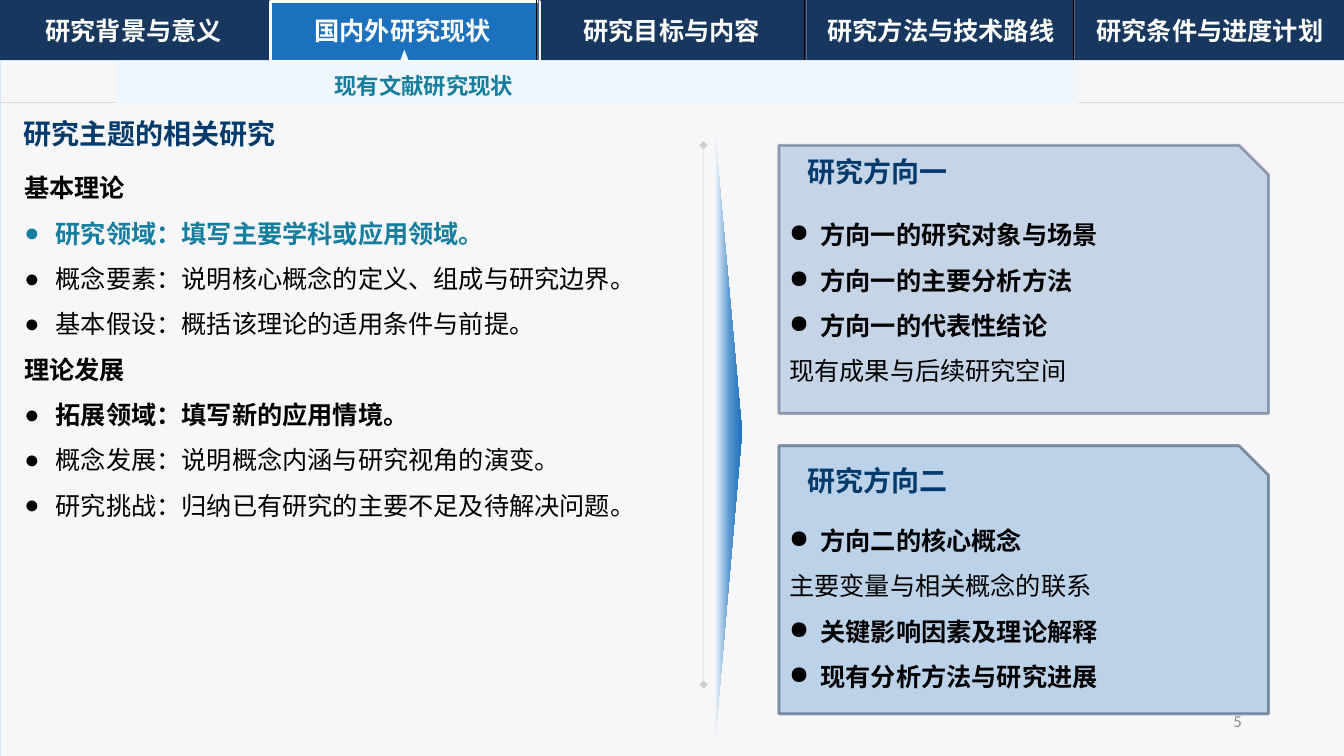
from copy import deepcopy
from lxml.etree import SubElement
from pptx import Presentation
from pptx.dml.color import RGBColor
from pptx.enum.shapes import MSO_CONNECTOR, MSO_SHAPE
from pptx.enum.text import MSO_ANCHOR, MSO_AUTO_SIZE, PP_ALIGN
from pptx.oxml.ns import qn
from pptx.util import Cm, Pt

NAVY = RGBColor(0x17, 0x37, 0x5E)
BLUE = RGBColor(0x1C, 0x71, 0xBE)
STEEL = RGBColor(0x4F, 0x81, 0xBD)
EDGE = RGBColor(0x23, 0x39, 0x53)
TEAL = RGBColor(0x15, 0x7E, 0x9F)
HEAD = RGBColor(0x01, 0x3B, 0x6D)
PAPER = RGBColor(0xF7, 0xF7, 0xF9)
FRAME = RGBColor(0xD4, 0xE7, 0xF9)
PALE = RGBColor(0xEF, 0xF6, 0xFC)
SLATE = RGBColor(0x59, 0x61, 0x81)
RULE = RGBColor(0xD9, 0xD9, 0xD9)
GREY = RGBColor(0x80, 0x80, 0x80)
PAGE = RGBColor(0x8C, 0x8C, 0x8C)
FADE = [RGBColor(0xF6, 0xF9, 0xFC), RGBColor(0x59, 0x97, 0xCF), BLUE]
BLACK = RGBColor(0, 0, 0)
WHITE = RGBColor(255, 255, 255)
CJK = "Noto Sans CJK SC"
WIDE, HIGH, BAR, STEP = 33.87, 19.05, 1.52, 6.76


def write(box, rows, size, name=CJK, anchor=MSO_ANCHOR.TOP, wrap=True, **form):
    """Fill a box with rows of (text, bulleted, bold, colour)."""
    frame = box.text_frame
    frame.word_wrap = wrap
    frame.auto_size = MSO_AUTO_SIZE.NONE
    frame.vertical_anchor = anchor
    for i, (text, mark, bold, color) in enumerate(rows):
        para = frame.add_paragraph() if i else frame.paragraphs[0]
        run = para.add_run()
        run.text = text
        look = {"alignment": PP_ALIGN.LEFT, "space_before": Pt(0)} | form
        for key, value in look.items():
            setattr(para, key, value)
        props = para._p.get_or_add_pPr()
        indent = Cm(0.79) if mark else 0
        props.set("marL", str(indent))
        props.set("indent", str(-indent))
        if mark:
            SubElement(props, qn("a:buChar"), char="●")
        else:
            SubElement(props, qn("a:buNone"))
        for key, value in {"name": name, "size": Pt(size), "bold": bold}.items():
            setattr(run.font, key, value)
        run.font.color.rgb = color
        SubElement(run._r.get_or_add_rPr(), qn("a:ea"), typeface=name)


def rule(x1, y1, x2, y2, color, width):
    line = shapes.add_connector(MSO_CONNECTOR.STRAIGHT, Cm(x1), Cm(y1), Cm(x2), Cm(y2))
    line.line.color.rgb = color
    line.line.width = Pt(width)
    SubElement(line._element.spPr, qn("a:effectLst"))
    return line


deck = Presentation()
deck.slide_width, deck.slide_height = Cm(WIDE), Cm(HIGH)
slide = deck.slides.add_slide(deck.slide_layouts[1])
shapes = slide.shapes

# Bar, page area and active tab
for left, top, width, height, fill, edge, weight in [
    (0, 0, WIDE, BAR, NAVY, None, 0),
    (0, BAR, WIDE, HIGH - BAR, PAPER, FRAME, 0.5),
    (6.81, 0.03, 6.78, BAR, BLUE, WHITE, 2),
]:
    area = shapes.add_shape(MSO_SHAPE.RECTANGLE, Cm(left), Cm(top), Cm(width), Cm(height))
    area.shadow.inherit = False
    area.fill.solid()
    area.fill.fore_color.rgb = fill
    if edge:
        area.line.color.rgb = edge
        area.line.width = Pt(weight)
    else:
        area.line.fill.background()

for i in (2, 3, 4):
    rule(i * STEP, 0, i * STEP, BAR, BLACK, 0.5)
    rule(i * STEP + 0.04, 0, i * STEP + 0.04, BAR, SLATE, 0.75)
rule(0, 2.59, WIDE, 2.59, RULE, 0.5)

# Sub-menu strip with its pointer
pen = shapes.build_freeform(Cm(10.19), Cm(1.25))
pen.add_line_segments([(Cm(x), Cm(y)) for x, y in [
    (10.31, 1.55), (27.18, 1.55), (27.18, 2.62), (2.92, 2.62), (2.92, 1.55), (10.08, 1.55),
]])
strip = pen.convert_to_shape()
strip.shadow.inherit = False
strip.fill.solid()
strip.fill.fore_color.rgb = PALE
strip.line.fill.background()

tabs = ["研究背景与意义", "国内外研究现状", "研究目标与内容", "研究方法与技术路线", "研究条件与进度计划"]
for i, tab in enumerate(tabs):
    box = shapes.add_textbox(Cm(i * 6.78), Cm(0.25), Cm(6.74), Cm(1.04))
    write(box, [(tab, False, True, WHITE)], 18, anchor=MSO_ANCHOR.MIDDLE, alignment=PP_ALIGN.CENTER)
box = shapes.add_textbox(Cm(8.18), Cm(1.4), Cm(5.08), Cm(1.17))
write(box, [("现有文献研究现状", False, True, TEAL)], 16, anchor=MSO_ANCHOR.MIDDLE,
      wrap=False, line_spacing=1.5)

# Left column
title, body = shapes.title, slide.placeholders[1]
for box, left, top, width, height in [
    (title, 0.33, 2.82, 16.05, 1.2),
    (body, 0.36, 3.84, 17.27, 15.2),
]:
    box.left, box.top, box.width, box.height = Cm(left), Cm(top), Cm(width), Cm(height)
    shapes._spTree.append(box._element)
write(title, [("研究主题的相关研究", False, True, HEAD)], 20, space_after=Pt(8))
write(body, [
    ("基本理论", False, True, BLACK),
    ("研究领域：填写主要学科或应用领域。", True, True, TEAL),
    ("概念要素：说明核心概念的定义、组成与研究边界。", True, False, BLACK),
    ("基本假设：概括该理论的适用条件与前提。", True, False, BLACK),
    ("理论发展", False, True, BLACK),
    ("拓展领域：填写新的应用情境。", True, True, BLACK),
    ("概念发展：说明概念内涵与研究视角的演变。", True, False, BLACK),
    ("研究挑战：归纳已有研究的主要不足及待解决问题。", True, False, BLACK),
], 18, line_spacing=1.5)

# Divider and arrow between the columns
split = rule(17.73, 3.66, 17.73, 17.25, GREY, 0.25)
SubElement(next(split._element.spPr.iter(qn("a:srgbClr"))), qn("a:alpha"), val="33000")
for end in ("a:headEnd", "a:tailEnd"):
    SubElement(split.line._get_or_add_ln(), qn(end), type="diamond")

wedge = shapes.add_shape(MSO_SHAPE.ISOSCELES_TRIANGLE, Cm(10.57), Cm(10.69), Cm(15.57), Cm(0.69))
wedge.adjustments[0] = 0.51
wedge.rotation = 270
wedge._element.spPr.xfrm.set("flipV", "1")
wedge.shadow.inherit = False
wedge.line.fill.background()
wedge.fill.gradient()
wedge.fill.gradient_angle = 90
stops = next(wedge._element.spPr.iter(qn("a:gsLst")))
stops.append(deepcopy(stops[0]))
for stop, color, place in zip(wedge.fill.gradient_stops, FADE, (0, 0.54, 1)):
    stop.color.rgb = color
    stop.position = place

# Research direction cards
cards = [
    ("研究方向一", 3.66, 3.76, 5.03, STEEL, (29, 41), [
        ("方向一的研究对象与场景", True),
        ("方向一的主要分析方法", True),
        ("方向一的代表性结论", True),
        ("现有成果与后续研究空间", False),
    ]),
    ("研究方向二", 11.23, 11.56, 12.73, BLUE, (27, 50), [
        ("方向二的核心概念", True),
        ("主要变量与相关概念的联系", False),
        ("关键影响因素及理论解释", True),
        ("现有分析方法与研究进展", True),
    ]),
]
for name, top, high, low, fill, alphas, points in cards:
    card = shapes.add_shape(MSO_SHAPE.SNIP_1_RECTANGLE, Cm(19.63), Cm(top), Cm(12.34), Cm(6.76))
    card.adjustments[0] = 0.11
    card.shadow.inherit = False
    card.fill.solid()
    card.fill.fore_color.rgb = fill
    card.line.color.rgb = EDGE
    card.line.width = Pt(2)
    for color, alpha in zip(card._element.spPr.iter(qn("a:srgbClr")), alphas):
        SubElement(color, qn("a:alpha"), val=str(alpha * 1000))
    box = shapes.add_textbox(Cm(20.1), Cm(high), Cm(13.7), Cm(1.12))
    write(box, [(name, False, True, HEAD)], 20, space_after=Pt(8))
    box = shapes.add_textbox(Cm(19.64), Cm(low), Cm(12), Cm(4.75))
    write(box, [(text, mark, mark, BLACK) for text, mark in points], 18, line_spacing=1.5)

box = shapes.add_textbox(Cm(23.93), Cm(17.65), Cm(7.62), Cm(1.02))
write(box, [("5", False, False, PAGE)], 12, name="Calibri", anchor=MSO_ANCHOR.MIDDLE,
      alignment=PP_ALIGN.RIGHT)

deck.save("out.pptx")
